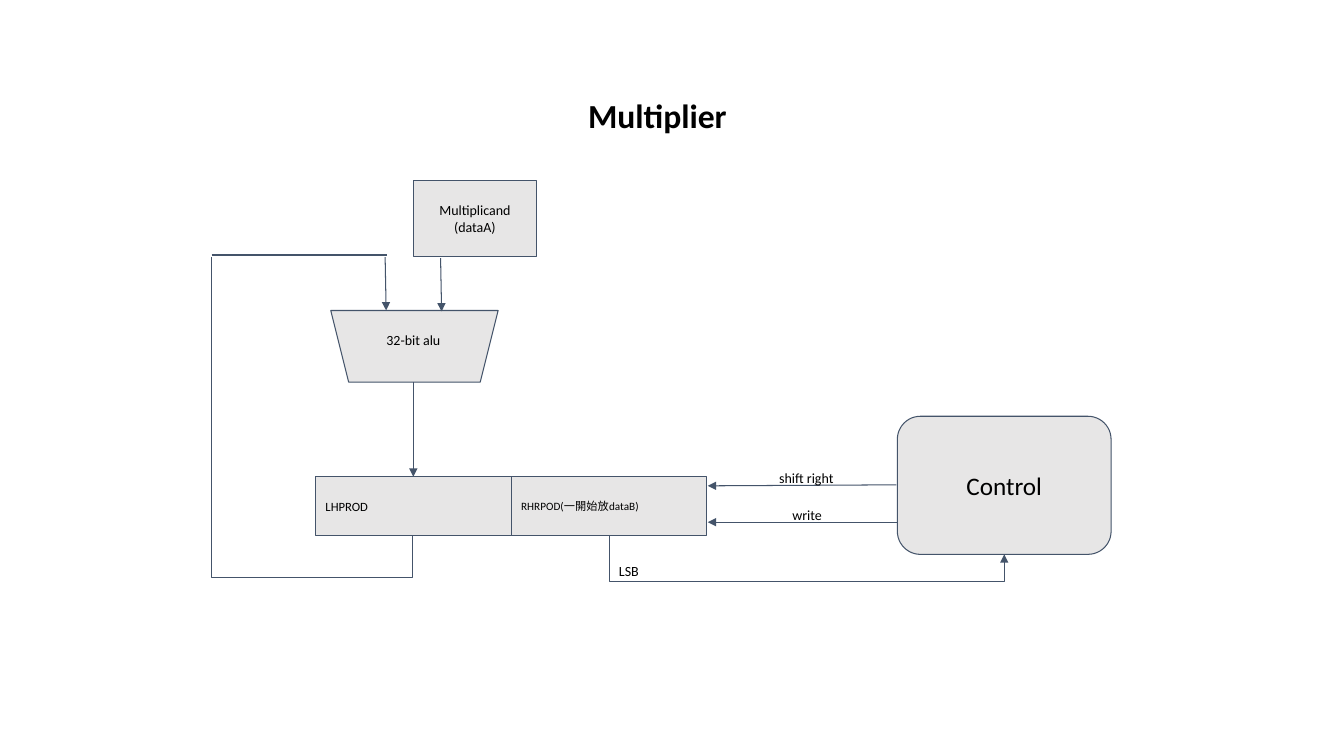
from lxml.etree import SubElement
from pptx import Presentation
from pptx.dml.color import RGBColor
from pptx.enum.shapes import MSO_CONNECTOR as LINK, MSO_SHAPE as SHAPE
from pptx.enum.text import MSO_ANCHOR as ANCHOR, MSO_AUTO_SIZE as AUTO, PP_ALIGN as ALIGN
from pptx.oxml.ns import qn
from pptx.util import Inches, Pt

BLACK = RGBColor(0x00, 0x00, 0x00)
GRAY = RGBColor(0xE7, 0xE6, 0xE6)
SLATE = RGBColor(0x44, 0x54, 0x6A)
FONT = "Calibri"


def write(frame, text, size, align, anchor, bold=False):
    """Fill a text frame, one paragraph per line."""
    frame.word_wrap = True
    frame.vertical_anchor = anchor
    frame.margin_left = frame.margin_right = Inches(0.1)
    frame.margin_top = frame.margin_bottom = Inches(0.1)
    frame.text = text
    for para in frame.paragraphs:
        para.alignment = align
        font = para.font
        font.name, font.size, font.bold = FONT, Pt(size), bold
        font.color.rgb = BLACK


def add_block(slide, kind, box, text="", size=10, align=ALIGN.CENTER):
    block = slide.shapes.add_shape(kind, *map(Inches, box))
    block.shadow.inherit = False
    block.fill.solid()
    block.fill.fore_color.rgb = GRAY
    block.line.color.rgb = SLATE
    block.line.width = Pt(0.75)
    if text:
        write(block.text_frame, text, size, align, ANCHOR.MIDDLE)
    return block


def add_label(slide, box, text, align=ALIGN.LEFT):
    label = slide.shapes.add_textbox(*map(Inches, box))
    write(label.text_frame, text, 10, align, ANCHOR.TOP)
    label.text_frame.auto_size = AUTO.SHAPE_TO_FIT_TEXT


def add_line(slide, start, end, arrow=True, kind=LINK.STRAIGHT):
    line = slide.shapes.add_connector(kind, *map(Inches, start + end))
    line.line.color.rgb = SLATE
    line.line.width = Pt(0.75)
    props = line.element.spPr
    if arrow:
        SubElement(props.find(qn("a:ln")), qn("a:tailEnd"), type="triangle")
    SubElement(props, qn("a:effectLst"))
    return line


def add_loop(slide, box, turn, bend):
    """Add a flipped elbow, turned by degrees, that bends outside its box."""
    left, top, width, height = box
    line = add_line(slide, (left, top), (left + width, top + height),
                    False, LINK.ELBOW)
    props = line.element.spPr
    frame = props.find(qn("a:xfrm"))
    frame.set("rot", str(turn * 60000))
    frame.set("flipH", "1")
    guides = props.find(qn("a:prstGeom")).find(qn("a:avLst"))
    SubElement(guides, qn("a:gd"), name="adj1", fmla=f"val {round(bend * 100000)}")


def main():
    deck = Presentation()
    deck.slide_width, deck.slide_height = Inches(13.33), Inches(7.5)
    slide = deck.slides.add_slide(deck.slide_layouts[6])

    # Title
    title = slide.shapes.add_textbox(*map(Inches, (1.93, 0.89, 9.18, 0.71)))
    write(title.text_frame, "Multiplier", 24, ALIGN.CENTER, ANCHOR.TOP, True)
    title.text_frame.paragraphs[0].line_spacing = 0.9

    # Operand and product registers
    add_block(slide, SHAPE.RECTANGLE, (4.1, 1.79, 1.22, 0.76),
              "Multiplicand\n(dataA)")
    halves = [("LHPROD", 9), ("RHRPOD(一開始放dataB)", 8)]
    for i, (text, size) in enumerate(halves):
        add_block(slide, SHAPE.RECTANGLE, (3.13 + 1.94 * i, 4.73, 1.94, 0.58),
                  text, size, ALIGN.LEFT)

    # ALU
    alu = add_block(slide, SHAPE.TRAPEZOID, (3.28, 3.08, 1.66, 0.71))
    alu.rotation = 180
    add_label(slide, (3.38, 3.21, 1.44, 0.37), "32-bit alu", ALIGN.CENTER)
    add_line(slide, (4.1, 3.79), (4.1, 4.73))
    add_line(slide, (4.37, 2.56), (4.38, 3.09))

    # Feedback from the product to the ALU
    add_loop(slide, (1.71, 2.93, 2.77, 2), 90, -0.15)
    add_line(slide, (2.1, 2.53), (3.84, 2.53), arrow=False)
    add_line(slide, (3.82, 2.55), (3.83, 3.08))

    # Control and its signals
    add_block(slide, SHAPE.ROUNDED_RECTANGLE, (8.9, 4.13, 2.12, 1.37),
              "Control", 18)
    add_line(slide, (8.89, 4.81), (7.02, 4.82))
    add_line(slide, (8.9, 5.18), (7.02, 5.18))
    add_label(slide, (7.63, 4.57, 0.89, 0.37), "shift right")
    add_label(slide, (7.56, 4.94, 0.89, 0.37), "write", ALIGN.CENTER)

    # Lowest bit back to control
    add_loop(slide, (7.91, 3.45, 0.19, 3.92), 270, 2.38)
    add_line(slide, (9.96, 5.72), (9.96, 5.5))
    add_label(slide, (6.04, 5.5, 0.89, 0.37), "LSB")

    deck.save("out.pptx")


main()
